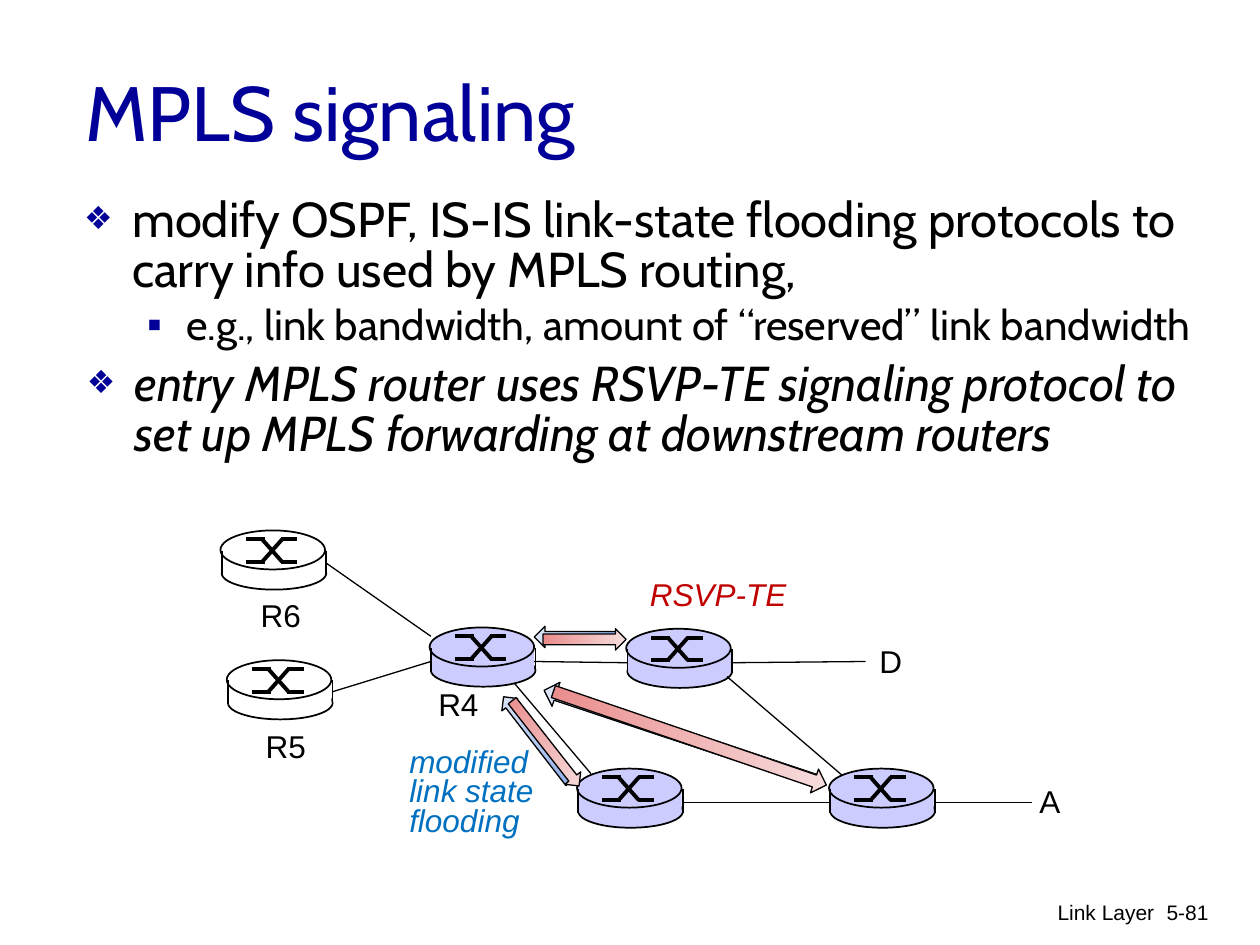
import lxml.etree
import pptx
import pptx.dml.color
import pptx.enum.shapes
import pptx.enum.text
import pptx.oxml.ns
import pptx.util

Inches = pptx.util.Inches
Pt = pptx.util.Pt
color = pptx.dml.color.RGBColor.from_string
qn = pptx.oxml.ns.qn
SHAPE = pptx.enum.shapes.MSO_SHAPE
STRAIGHT = pptx.enum.shapes.MSO_CONNECTOR.STRAIGHT
ALIGN = pptx.enum.text.PP_ALIGN

presentation = pptx.Presentation()
presentation.slide_width = Inches(10)
presentation.slide_height = Inches(7.5)
slide = presentation.slides.add_slide(presentation.slide_layouts[6])


def add_line(shapes, x1, y1, x2, y2, width):
    line = shapes.add_connector(STRAIGHT, Inches(x1), Inches(y1), Inches(x2), Inches(y2))
    line.line.color.rgb = color("000000")
    line.line.width = Pt(width)
    lxml.etree.SubElement(line._element.spPr, qn("a:effectLst"))
    return line


def add_text(box, lines, size, font, hex_color, italic=False, wrap=False):
    shape = slide.shapes.add_textbox(*[Inches(value) for value in box])
    frame = shape.text_frame
    frame.word_wrap = wrap
    frame.text = "\n".join(lines)
    for paragraph in frame.paragraphs:
        paragraph.font.size = Pt(size)
        paragraph.font.name = font
        paragraph.font.color.rgb = color(hex_color)
        paragraph.font.italic = italic
    return frame


# Title and footer
title = add_text((0.58, 0.25, 8.5, 1.25), ["MPLS signaling"], 44, "Cabin", "000099", wrap=True)
title.vertical_anchor = pptx.enum.text.MSO_ANCHOR.MIDDLE
for box, text in [((6.09, 7.09, 3.17, 0.5), "Link Layer"), ((8.95, 7.09, 0.74, 0.5), "5-81")]:
    footer = add_text(box, [text], 12, "Arial", "000000", wrap=True)
    footer.paragraphs[0].alignment = ALIGN.RIGHT

# Bulleted text: bullet, bullet size, left margin, hanging indent
TOP_LEVEL = ("❖", 65, 0.38, 0.38)
SUB_LEVEL = ("▪", 100, 0.81, 0.31)
bullet_boxes = [
    ((0.57, 1.52, 9.12, 1.48), False, [
        (TOP_LEVEL, 28, "modify OSPF, IS-IS link-state flooding protocols to "
                        "carry info used by MPLS routing,"),
        (SUB_LEVEL, 24, "e.g., link bandwidth, amount of “reserved” link bandwidth")]),
    ((0.59, 2.82, 9.12, 1.16), True, [
        (TOP_LEVEL, 28, "entry MPLS router uses RSVP-TE signaling protocol to "
                        "set up MPLS forwarding at downstream routers")]),
]
for box, italic, items in bullet_boxes:
    frame = slide.shapes.add_textbox(*[Inches(value) for value in box]).text_frame
    frame.word_wrap = True
    frame.text = "\n".join(text for _, _, text in items)
    for index, (paragraph, (level, size, _)) in enumerate(zip(frame.paragraphs, items)):
        bullet, bullet_size, margin, indent = level
        paragraph.level = 1 if level is SUB_LEVEL else 0
        paragraph.line_spacing = 0.85
        if index:
            paragraph.space_before = Pt(0.2 * size)
        properties = paragraph._p.get_or_add_pPr()
        properties.set("marL", str(Inches(margin)))
        properties.set("indent", str(-Inches(indent)))
        bullet_color = lxml.etree.SubElement(properties, qn("a:buClr"))
        lxml.etree.SubElement(bullet_color, qn("a:srgbClr"), val="000099")
        lxml.etree.SubElement(properties, qn("a:buSzPct"), val=str(bullet_size * 1000))
        lxml.etree.SubElement(properties, qn("a:buFont"), typeface="Arial")
        lxml.etree.SubElement(properties, qn("a:buChar"), char=bullet)
        paragraph.font.size = Pt(size)
        paragraph.font.name = "Cabin"
        paragraph.font.color.rgb = color("000000")
        paragraph.font.italic = italic

# Routers: a cylinder with a crossed switching symbol on its cap
routers = {
    "bottom right": (6.58, 6.1, "CCCCFF"),
    "bottom left": (4.58, 6.1, "CCCCFF"),
    "top right": (4.97, 4.99, "CCCCFF"),
    "R4": (3.41, 4.98, "CCCCFF"),
    "R6": (1.75, 4.21, "FFFFFF"),
    "R5": (1.8, 5.24, "FFFFFF"),
}
cylinder_parts = [
    (SHAPE.OVAL, 0.01, 0.21, 0.83, 0.26),
    (SHAPE.RECTANGLE, 0.01, 0.19, 0.82, 0.16),
    (SHAPE.OVAL, 0, 0, 0.83, 0.31),
]
symbol_strokes = [
    (0.2, 0.07, 0.35, 0.07), (0.33, 0.07, 0.49, 0.25), (0.48, 0.25, 0.61, 0.25),
    (0.2, 0.25, 0.35, 0.25), (0.33, 0.25, 0.49, 0.07), (0.48, 0.07, 0.61, 0.07),
]
bodies = {}
for name, (left, top, fill) in routers.items():
    group = slide.shapes.add_group_shape().shapes
    for kind, x, y, width, height in cylinder_parts:
        part = group.add_shape(kind, Inches(left + x), Inches(top + y),
                               Inches(width), Inches(height))
        part.shadow.inherit = False
        part.fill.solid()
        part.fill.fore_color.rgb = color(fill)
        if kind == SHAPE.RECTANGLE:
            part.line.fill.background()
            bodies[name] = part
        else:
            part.line.color.rgb = color("000000")
            part.line.width = Pt(1)
    for x in (0.01, 0.84):
        add_line(group, left + x, top + 0.16, left + x, top + 0.35, 1)
    for x1, y1, x2, y2 in symbol_strokes:
        add_line(group, left + x1, top + y1, left + x2, top + y2, 2.25)

# Links, joined to router bodies where they meet the middle of a side
links = [
    ((2.59, 4.47, 3.42, 5.05), None, None),
    ((2.64, 5.49, 3.44, 5.24), None, "R4"),
    ((4.24, 5.24, 4.97, 5.24), "R4", "top right"),
    ((4.08, 5.42, 4.69, 6.14), None, None),
    ((5.45, 6.38, 6.59, 6.38), "bottom left", "bottom right"),
    ((5.77, 5.37, 6.68, 6.15), None, None),
    ((7.42, 6.37, 8.19, 6.37), "bottom right", None),
    ((5.81, 5.25, 6.87, 5.25), "top right", None),
]
for ends, start, end in links:
    link = add_line(slide.shapes, *ends, 0.75)
    if start:
        link.begin_connect(bodies[start], 3)
    if end:
        link.end_connect(bodies[end], 1)

# Node labels
for text, left, top, width in [("D", 6.88, 5.05, 0.38), ("R4", 3.38, 5.39, 0.52),
                               ("R5", 2.01, 5.72, 0.52), ("A", 8.15, 6.16, 0.37),
                               ("R6", 1.97, 4.68, 0.52)]:
    add_text((left, top, width, 0.4), [text], 18, "Arial", "000000")

# Signaling arrows: blue for link state flooding, red for RSVP-TE
BLUE = ("8CADEA", "DEE6F7")
RED = ("EA8C8C", "F7DEDE")
arrows = [
    (4.24, 4.97, 0.66, 0.17, 180, BLUE),
    (3.83, 5.79, 0.86, 0.16, 232.3, BLUE),
    (4.26, 5.74, 2.29, 0.2, 198.4, BLUE),
    (4.31, 4.99, 0.66, 0.17, 0, RED),
    (3.9, 5.82, 0.86, 0.16, 51.9, RED),
    (4.33, 5.76, 2.29, 0.2, 18.9, RED),
]
for left, top, width, height, rotation, gradient in arrows:
    arrow = slide.shapes.add_shape(SHAPE.RIGHT_ARROW, Inches(left), Inches(top),
                                   Inches(width), Inches(height))
    arrow.shadow.inherit = False
    arrow.rotation = rotation
    arrow.fill.gradient()
    arrow.fill.gradient_angle = 0
    for stop, position, hex_color in zip(arrow.fill.gradient_stops, (0, 1), gradient):
        stop.position = position
        stop.color.rgb = color(hex_color)
    arrow.line.color.rgb = color("000000")
    arrow.line.width = Pt(0.75)

# Signaling captions
for box, lines, hex_color in [
        ((3.15, 5.9, 1.27, 0.82), ["modified", "link state", "flooding"], "0070C0"),
        ((5.06, 4.58, 1.3, 0.34), ["RSVP-TE"], "C00000")]:
    caption = add_text(box, lines, 18, "Arial", hex_color, italic=True)
    for paragraph in caption.paragraphs:
        paragraph.line_spacing = Pt(17)

presentation.save("out.pptx")
